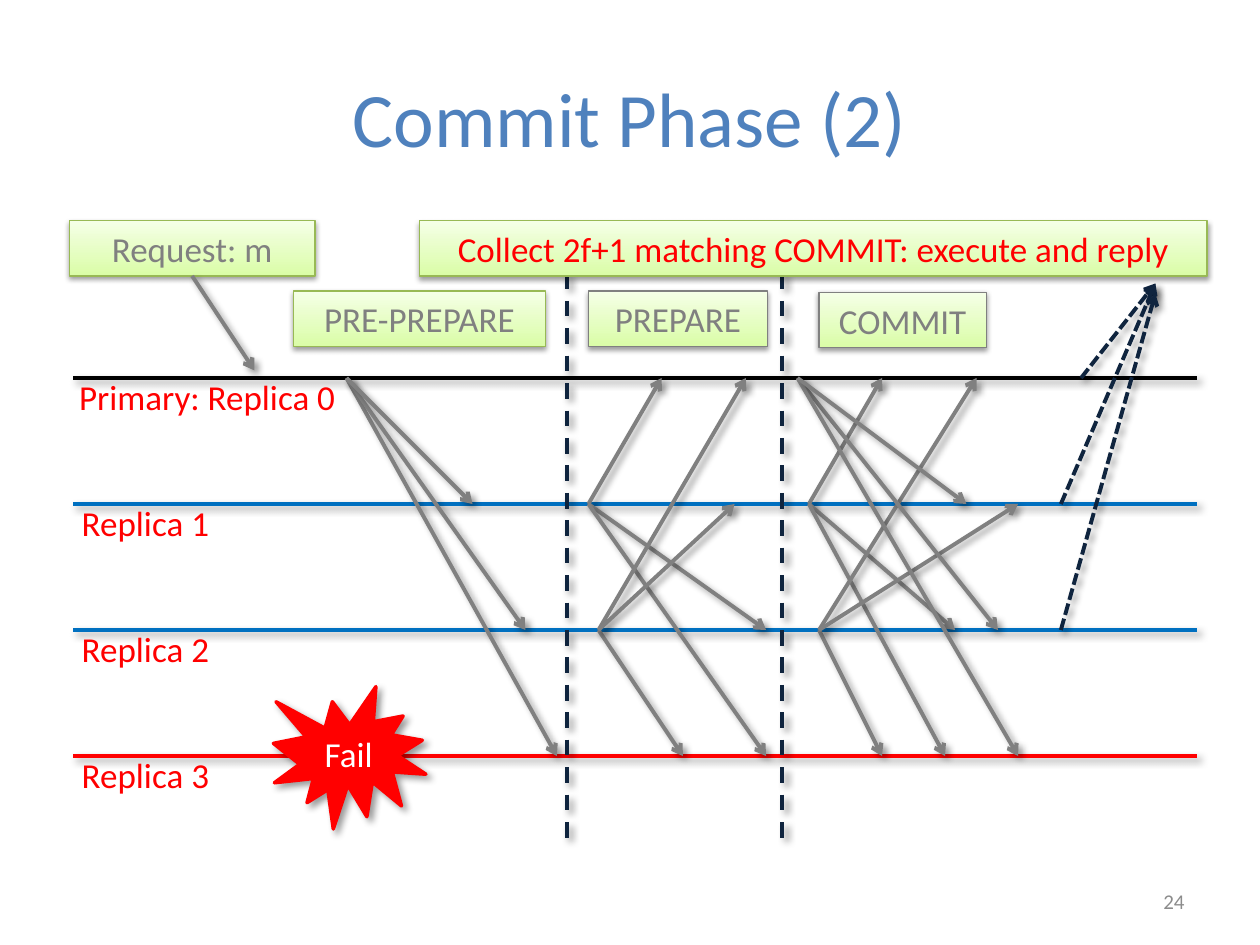
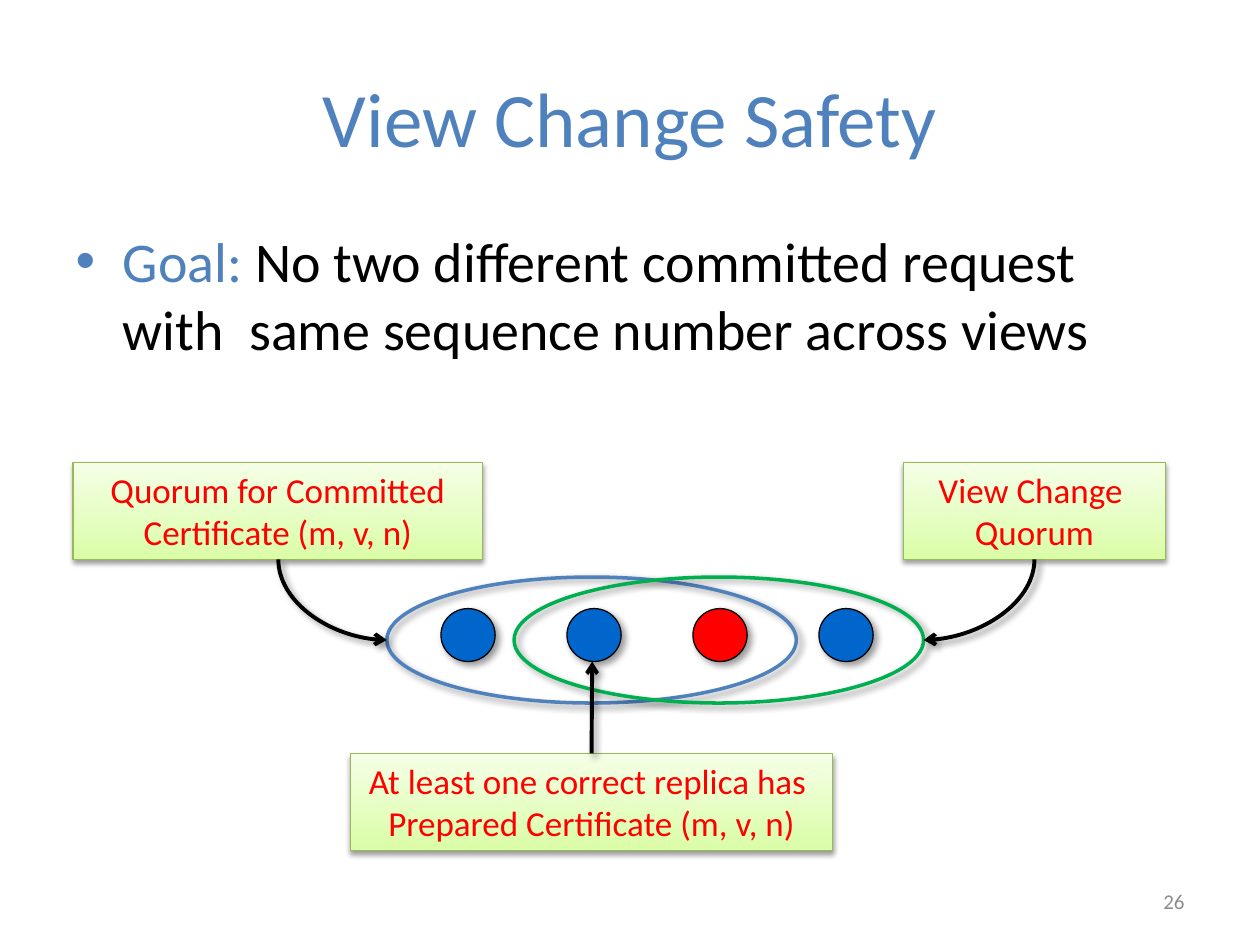
from lxml import etree
from pptx import Presentation
from pptx.dml.color import RGBColor
from pptx.enum import dml, shapes, text
from pptx.oxml.ns import qn
from pptx.util import Inches, Pt

color = RGBColor.from_string
RED, BLUE, GRAY, GREEN = "FF0000", "4F81BD", "808080", "98B955"
BLACK, NAVY, LANE_BLUE, REPLICA_BLUE = "000000", "0F243E", "0070C0", "0066CC"
LINE_SHADOW = (40, 4, 3, 45)
LABEL_SHADOW = (38, 3.1, 1.6, 90)


def write(shape, content, size=20, hue=RED, align=text.PP_ALIGN.CENTER):
    frame = shape.text_frame
    frame.word_wrap = True
    frame.text = content
    values = {"name": "Calibri", "size": Pt(size)}
    for paragraph in frame.paragraphs:
        paragraph.alignment = align
        font = paragraph.runs[0].font
        font.color.rgb = color(hue)
        for name, value in values.items():
            setattr(font, name, value)


def outline(shape, hue, width=2.25, dash=None, arrow=None, shadow=LINE_SHADOW):
    """Set line, optional arrowhead (headEnd or tailEnd) and shadow (opacity, blur, distance, angle)."""
    shape.line.color.rgb = color(hue)
    shape.line.width = Pt(width)
    if dash:
        shape.line.dash_style = dash
    properties = shape._element.spPr
    if arrow:
        etree.SubElement(properties.find(qn("a:ln")), qn(f"a:{arrow}"), type="arrow")
    opacity, blur, distance, angle = shadow
    effects = etree.SubElement(properties, qn("a:effectLst"))
    outer = etree.SubElement(effects, qn("a:outerShdw"), blurRad=str(Pt(blur)), dist=str(Pt(distance)),
                             dir=str(angle * 60000), rotWithShape="0")
    shade = etree.SubElement(outer, qn("a:srgbClr"), val=BLACK)
    etree.SubElement(shade, qn("a:alpha"), val=str(opacity * 1000))


presentation = Presentation()
presentation.slide_width, presentation.slide_height = Inches(10), Inches(7.5)

# Titles and slide numbers
TITLE_AND_CONTENT, TITLE_ONLY = 1, 5
slides = []
for layout, title, number in [(TITLE_ONLY, "Commit Phase (2)", "24"),
                              (TITLE_AND_CONTENT, "View Change Safety", "26")]:
    slide = presentation.slides.add_slide(presentation.slide_layouts[layout])
    write(slide.shapes.title, title, 44, BLUE)
    footer = slide.shapes.add_textbox(Inches(7.17), Inches(6.95), Inches(2.33), Inches(0.4))
    footer.text_frame.vertical_anchor = text.MSO_ANCHOR.MIDDLE
    write(footer, number, 12, "8C8C8C", text.PP_ALIGN.RIGHT)
    slides.append(slide)
commit, safety = slides

# Commit phase: one lane per replica, messages as (x, replica) -> [(x, replica)]
LANE_TOP = 3
messages = {
    (2.75, 0): [(4.42, 3), (4.17, 2), (3.75, 1)],
    (4.67, 1): [(5.25, 0), (6.08, 2), (6.08, 3)],
    (4.75, 2): [(5.42, 3), (5.92, 0), (5.83, 1)],
    (6.42, 1): [(7, 0), (7.58, 2), (7.5, 3)],
    (6.5, 2): [(7, 3), (7.75, 0), (8.08, 1)],
    (6.33, 0): [(7.92, 2), (8.08, 3), (7.67, 1)],
}
lines = [((0.58, LANE_TOP + lane), (9.5, LANE_TOP + lane), {"hue": hue})
         for lane, hue in enumerate([BLACK, LANE_BLUE, LANE_BLUE, RED])]
lines += [((x, 2.17), (x, 6.67), {"hue": NAVY, "dash": dml.MSO_LINE.DASH}) for x in (4.5, 6.21)]
lines += [((x, LANE_TOP + sender), (end_x, LANE_TOP + receiver), {"hue": GRAY, "arrow": "tailEnd"})
          for (x, sender), targets in messages.items() for end_x, receiver in targets]
lines += [((x, LANE_TOP + lane), (9.17, end_y),
           {"hue": NAVY, "dash": dml.MSO_LINE.SQUARE_DOT, "arrow": "tailEnd"})
          for lane, (x, end_y) in enumerate([(8.58, 2.25), (8.42, 2.25), (8.42, 2.33)])]
for start, end, look in lines:
    line = commit.shapes.add_connector(shapes.MSO_CONNECTOR.STRAIGHT, *map(Inches, start + end))
    outline(line, **look)

for lane, name in enumerate(["Primary: Replica 0", "Replica 1", "Replica 2", "Replica 3"]):
    left, width = (0.55, 1.95) if lane else (0.53, 2.97)
    box = commit.shapes.add_textbox(Inches(left), Inches(LANE_TOP - 0.07 + lane), Inches(width), Inches(0.46))
    write(box, name, align=text.PP_ALIGN.LEFT)

fail = commit.shapes.add_shape(shapes.MSO_SHAPE.EXPLOSION1, *map(Inches, (2.17, 5.45, 1.21, 1.13)))
fail.fill.solid()
fail.fill.fore_color.rgb = color(RED)
outline(fail, RED, 2)
write(fail, "Fail", hue="FFFFFF")

# View change: goal, replicas and the two quorums
body = safety.placeholders[1]
paragraph = body.text_frame.paragraphs[0]
for content, hue in [("Goal: ", BLUE),
                     ("No two different committed request with  same sequence number across views", BLACK)]:
    run = paragraph.add_run()
    run.text = content
    run.font.color.rgb = color(hue)
    for name, value in {"name": "Calibri", "size": Pt(32)}.items():
        setattr(run.font, name, value)

for index, hue in enumerate([REPLICA_BLUE, REPLICA_BLUE, RED, REPLICA_BLUE]):
    replica = safety.shapes.add_shape(shapes.MSO_SHAPE.OVAL, *map(Inches, (3.5 + index, 4.83, 0.43, 0.42)))
    replica.fill.solid()
    replica.fill.fore_color.rgb = color(hue)
    outline(replica, BLACK, 0.75)

for left, hue in [(3.07, BLUE), (4.08, "00B050")]:
    quorum = safety.shapes.add_shape(shapes.MSO_SHAPE.OVAL, *map(Inches, (left, 4.58, 3.25, 1)))
    quorum.fill.background()
    outline(quorum, hue, 2)

# Green labels of both slides
labels = {}
for slide, content, place, hue, border in [
    (commit, "Request: m", (0.55, 1.75, 1.95, 0.44), GRAY, GREEN),
    (commit, "PRE-PREPARE", (2.33, 2.31, 2, 0.44), GRAY, GREEN),
    (commit, "PREPARE", (4.67, 2.31, 1.42, 0.44), GRAY, GRAY),
    (commit, "COMMIT", (6.5, 2.32, 1.33, 0.44), GRAY, GRAY),
    (commit, "Collect 2f+1 matching COMMIT: execute and reply", (3.33, 1.75, 6.25, 0.44), RED, GREEN),
    (safety, "Quorum for Committed Certificate (m, v, n)", (0.58, 3.67, 3.25, 0.77), RED, GREEN),
    (safety, "At least one correct replica has \nPrepared Certificate (m, v, n)",
     (2.78, 5.98, 3.83, 0.77), RED, GREEN),
    (safety, "View Change \nQuorum", (7.17, 3.67, 2.08, 0.77), RED, GREEN),
]:
    label = slide.shapes.add_shape(shapes.MSO_SHAPE.RECTANGLE, *map(Inches, place))
    label.fill.gradient()
    label.fill.gradient_angle = 90
    for stop, shade in zip(label.fill.gradient_stops, ["DAFDA7", "F5FFE7"]):
        stop.color.rgb = color(shade)
    outline(label, border, 0.75, shadow=LABEL_SHADOW)
    write(label, content, hue=hue)
    labels[content.split()[0]] = label

# Arrows that leave a label
for slide, name, side, ends, hue in [(commit, "Request:", 2, (1.53, 2.19, 2.02, 2.94), GRAY),
                                     (safety, "At", 0, (4.7, 5.98, 4.7, 5.25), BLACK)]:
    arrow = slide.shapes.add_connector(shapes.MSO_CONNECTOR.STRAIGHT, *map(Inches, ends))
    arrow.begin_connect(labels[name], side)
    outline(arrow, hue, arrow="tailEnd")

for ends in [(3.07, 5.08, 2.21, 4.44), (7.33, 5.08, 8.21, 4.44)]:
    curve = safety.shapes.add_connector(shapes.MSO_CONNECTOR.CURVE, *map(Inches, ends))
    curve._element.spPr.find(qn("a:prstGeom")).set("prst", "curvedConnector2")
    outline(curve, BLACK, arrow="headEnd")

presentation.save("out.pptx")
